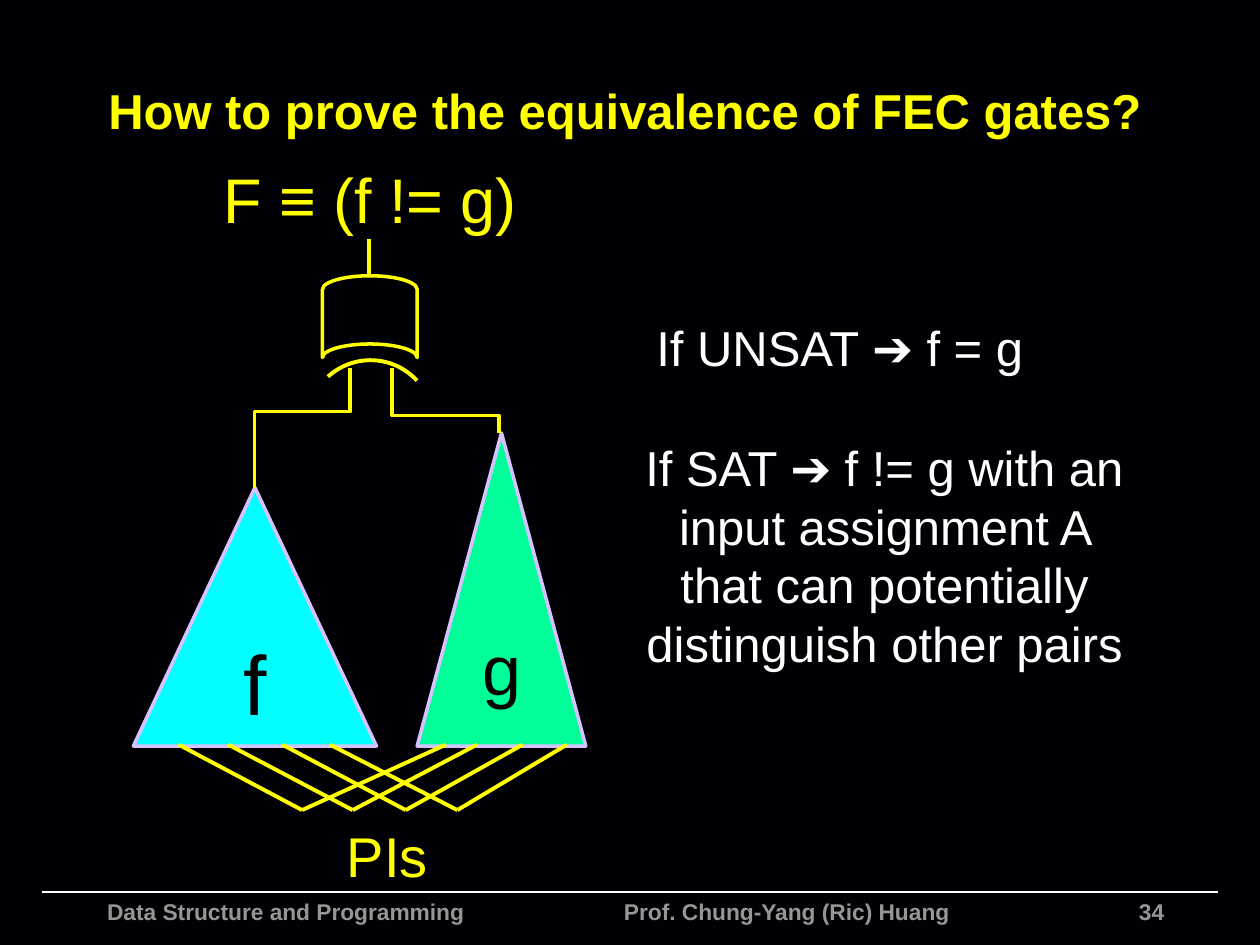
from lxml import etree
from pptx import Presentation
from pptx.dml.color import RGBColor
from pptx.enum.shapes import MSO_CONNECTOR, MSO_SHAPE
from pptx.enum.text import MSO_ANCHOR, MSO_AUTO_SIZE, PP_ALIGN
from pptx.oxml.ns import qn
from pptx.util import Cm, Pt

LEFT, CENTER, RIGHT = PP_ALIGN.LEFT, PP_ALIGN.CENTER, PP_ALIGN.RIGHT
TOP, MIDDLE = MSO_ANCHOR.TOP, MSO_ANCHOR.MIDDLE
FIXED = MSO_AUTO_SIZE.NONE
STRAIGHT = MSO_CONNECTOR.STRAIGHT
TRIANGLE, ARC = MSO_SHAPE.ISOSCELES_TRIANGLE, MSO_SHAPE.ARC
GATE_BODY = MSO_SHAPE.FLOWCHART_STORED_DATA
FONT = "Arial"
YELLOW, WHITE, BLACK, GREY = "FFFF00", "FFFFFF", "000000", "969696"
LILAC, CYAN, GREEN, NIGHT = "D6C2FF", "00FFFF", "00FF99", "010004"


def color(hex_value):
    return RGBColor.from_string(hex_value)


def write(holder, text, size=28, ink=WHITE, bold=False, align=CENTER,
          anchor=TOP, wrap=True):
    """Put one formatted paragraph into a shape and return the paragraph."""
    frame = holder.text_frame
    frame.auto_size = FIXED
    frame.word_wrap = wrap
    frame.vertical_anchor = anchor
    paragraph = frame.paragraphs[0]
    paragraph.alignment = align
    run = paragraph.add_run()
    run.text = text
    run.font.name, run.font.size, run.font.bold = FONT, Pt(size), bold
    run.font.color.rgb = color(ink)
    return paragraph


def add_label(slide, left, top, width, height, text, **style):
    label = slide.shapes.add_textbox(Cm(left), Cm(top), Cm(width), Cm(height))
    return write(label, text, **style)


def style_outline(shape, line, fill=None, weight=2):
    shape.shadow.inherit = False
    if fill:
        shape.fill.solid()
        shape.fill.fore_color.rgb = color(fill)
    else:
        shape.fill.background()
    shape.line.color.rgb = color(line)
    shape.line.width = Pt(weight)


def add_line(slide, start, end, ink=YELLOW, weight=2.25):
    line = slide.shapes.add_connector(
        STRAIGHT, *(Cm(value) for value in (*start, *end)))
    line.line.color.rgb = color(ink)
    line.line.width = Pt(weight)
    etree.SubElement(line.element.spPr, qn("a:effectLst"))


def add_preset(slide, kind, left, top, width, height, line, fill=None,
               weight=2, turn=0):
    shape = slide.shapes.add_shape(kind, Cm(left), Cm(top), Cm(width), Cm(height))
    style_outline(shape, line, fill, weight)
    shape.rotation = turn
    return shape


def add_wire(slide, points):
    corners = [(Cm(x), Cm(y)) for x, y in points]
    builder = slide.shapes.build_freeform(*corners[0])
    builder.add_line_segments(corners[1:], close=False)
    style_outline(builder.convert_to_shape(), YELLOW)


def build_title(slide, left, top, width, height):
    title = slide.shapes.title
    title.left, title.top = Cm(left), Cm(top)
    title.width, title.height = Cm(width), Cm(height)
    write(title, "How to prove the equivalence of FEC gates?", ink=YELLOW,
          bold=True, align=LEFT, anchor=MIDDLE)


def build_miter(slide, left, top):
    def at(x, y):
        return left + x, top + y

    # Logic cones
    for name, size, x, y, width, height, fill in (
            ("f", 48, 0, 6.71, 4.9, 5.21, CYAN),
            ("g", 40, 5.72, 5.61, 3.4, 6.31, GREEN)):
        cone = add_preset(slide, TRIANGLE, *at(x, y), width, height, LILAC, fill)
        frame = cone.text_frame
        frame.margin_left = frame.margin_right = Cm(0.13)
        frame.margin_top = frame.margin_bottom = Cm(0.13)
        write(cone, name, size=size, ink=BLACK, anchor=MIDDLE)

    # XOR gate with its wires
    add_preset(slide, GATE_BODY, *at(3.94, 2.31), 1.65, 1.91, YELLOW, turn=90)
    add_preset(slide, ARC, *at(3.51, 4.14), 2.54, 2.54, YELLOW,
               weight=2.25, turn=317.5)
    for cone_x, cone_y, bend_y, gate_x in ((2.44, 6.71, 5.18, 4.37),
                                           (7.37, 5.61, 5.26, 5.21)):
        add_wire(slide, [at(cone_x, cone_y), at(cone_x, bend_y),
                         at(gate_x, bend_y), at(gate_x, 4.3)])
    add_line(slide, at(4.75, 2.44), at(4.75, 1.7))
    add_label(slide, *at(1.55, 0), 6.45, 1.8, "F ≡ (f != g)",
              size=36, ink=YELLOW, wrap=False)

    # Shared primary inputs
    for f_x, g_x, input_x in ((0.91, 6.3, 3.4), (1.91, 6.93, 4.42),
                              (3, 7.85, 5.49), (3.96, 8.74, 6.53)):
        for cone_x in (f_x, g_x):
            add_line(slide, at(cone_x, 11.89), at(input_x, 13.21))
    add_label(slide, *at(4.04, 13.31), 2.16, 1.63, "PIs",
              size=32, ink=YELLOW, wrap=False)


def build_verdicts(slide, left, top, width):
    add_label(slide, left + 0.26, top, 8.2, 1.45, "If UNSAT ➔ f = g", wrap=False)
    add_label(slide, left, top + 2.42, width, 5.05,
              "If SAT ➔ f != g with an input assignment A "
              "that can potentially distinguish other pairs")


def build_footer(slide, left, top, width):
    style = {"size": 13, "ink": GREY, "bold": True}
    add_line(slide, (left, top), (left + width, top), ink=WHITE, weight=1)
    credits = add_label(slide, left + 1.07, top, 18.39, 1.07,
                        "Data Structure and Programming\tProf. Chung-Yang (Ric) Huang",
                        align=LEFT, **style)
    tabs = etree.SubElement(credits._p.get_or_add_pPr(), qn("a:tabLst"))
    etree.SubElement(tabs, qn("a:tab"), pos=str(Cm(10.42)), algn="l")
    add_label(slide, left + 14.83, top, 8.05, 1.07, "34", align=RIGHT, **style)


def main():
    deck = Presentation()
    deck.slide_width, deck.slide_height = Cm(25.4), Cm(19.05)
    slide = deck.slides.add_slide(deck.slide_layouts[5])
    slide.background.fill.solid()
    slide.background.fill.fore_color.rgb = color(NIGHT)
    build_footer(slide, 0.84, 17.98, 23.72)
    build_title(slide, 1.93, 0.94, 22.45, 2.57)
    build_miter(slide, 2.69, 3.12)
    build_verdicts(slide, 12.57, 6.27, 10.52)
    deck.save("out.pptx")


if __name__ == "__main__":
    main()
